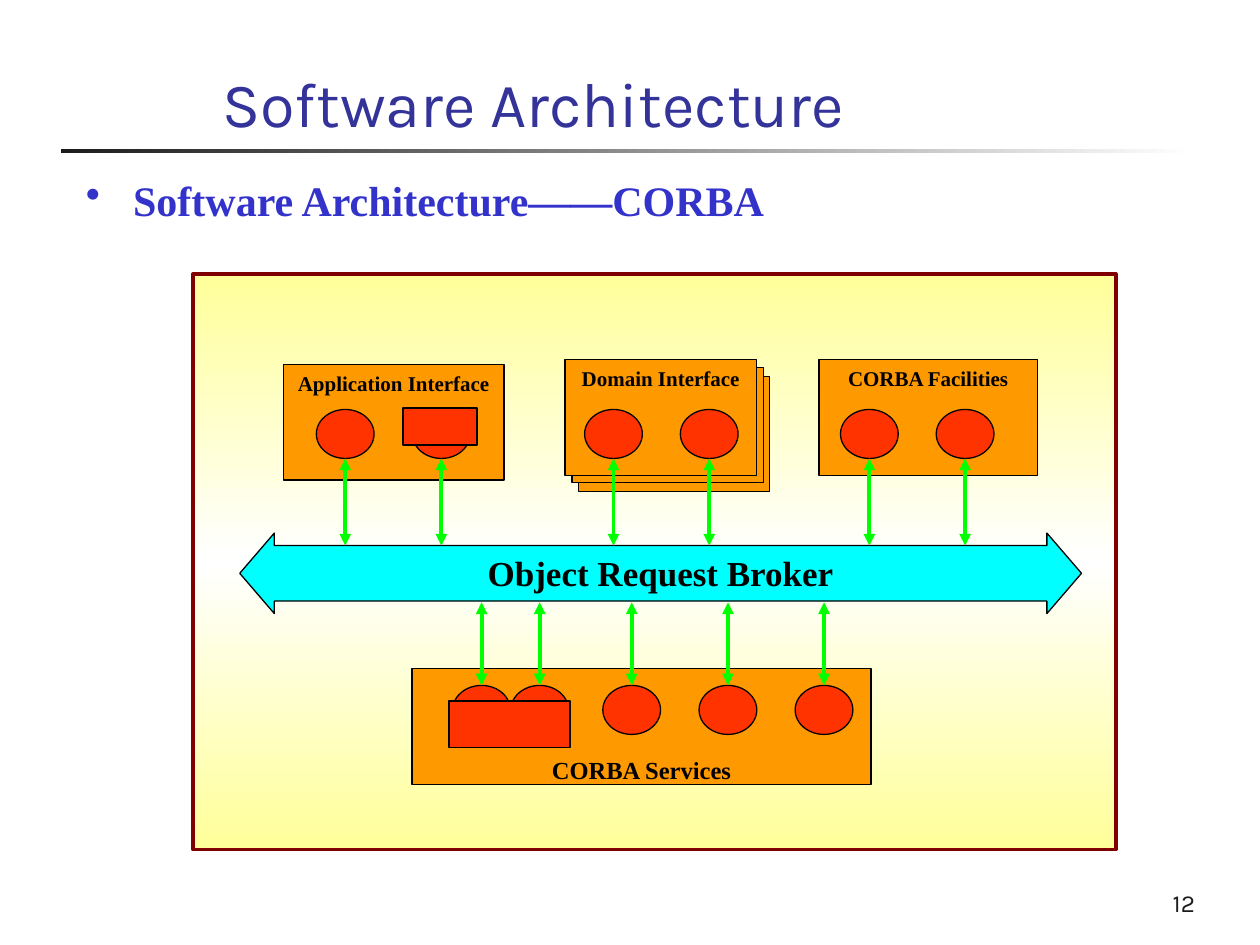
"""Build a slide showing the CORBA software architecture around an object request broker."""
from dataclasses import dataclass

import pptx
import pptx.dml.color
import pptx.enum.shapes
import pptx.enum.text
import pptx.oxml
import pptx.oxml.ns
import pptx.util
from lxml import etree

Pt = pptx.util.Pt
RGB = pptx.dml.color.RGBColor
SHAPE = pptx.enum.shapes.MSO_SHAPE
ALIGN = pptx.enum.text.PP_ALIGN
ANCHOR = pptx.enum.text.MSO_ANCHOR
qn = pptx.oxml.ns.qn

BLACK = RGB(0, 0, 0)
WHITE = RGB(255, 255, 255)
INK = RGB(0x1C, 0x1C, 0x1C)
TITLE_BLUE = RGB(0x33, 0x33, 0x99)
BODY_BLUE = RGB(0x33, 0x33, 0xCC)
YELLOW = RGB(0xFF, 0xFF, 0x99)
MAROON = RGB(0x80, 0, 0)
ORANGE = RGB(0xFF, 0x99, 0)
RED = RGB(0xFF, 0x33, 0)
CYAN = RGB(0, 0xFF, 0xFF)
GREEN = RGB(0, 0xFF, 0)
SERIF, SANS = "Times New Roman", "Karla"
PORT_W, PORT_H = 33, 28
UPPER_Y, BUS_TOP = 234, 311.8
BUS_BOTTOM, LOWER_Y = 344.2, 391.7


@dataclass
class Box:
    left: float
    top: float
    width: float
    height: float


@dataclass
class Component:
    label: str
    box: Box
    ports: tuple[float, ...]
    port_top: float
    size: float = 12
    inset_top: float = 3.6
    stack: tuple[tuple[float, float], ...] = ()


COMPONENTS = (
    Component("CORBA Facilities", Box(468, 205.6, 124.8, 66), (496.8, 551.5), UPPER_Y),
    Component("Domain Interface", Box(322.8, 205.6, 109.5, 66), (350.6, 405.3), UPPER_Y,
              stack=((7.6, 9.4), (4, 4.3))),
    Component("Application Interface", Box(162, 208.4, 126, 66), (197.3, 252.2), UPPER_Y),
    Component("CORBA Services", Box(235.4, 382.2, 262.4, 66),
              (275.2, 308.4, 361, 416, 470.9), LOWER_Y, 14, 49),
)
COVERS = (Box(230.2, 233.2, 42.5, 21.2), Box(256.5, 400.6, 69.3, 26.6))


def add_shape(s, kind, box: Box, fill: RGB | None, line: RGB | None = BLACK, width: float = 0.75):
    sp = s.shapes.add_shape(kind, Pt(box.left), Pt(box.top), Pt(box.width), Pt(box.height))
    sp.shadow.inherit = False
    if fill is not None:
        sp.fill.solid()
        sp.fill.fore_color.rgb = fill
    if line is None:
        sp.line.fill.background()
    else:
        sp.line.color.rgb = line
        sp.line.width = Pt(width)
    return sp


def set_gradient(sp, angle: float, stops: tuple[RGB, ...]) -> None:
    sp.fill.gradient()
    sp.fill.gradient_angle = angle
    gs_list = sp._element.spPr.find(qn("a:gradFill")).find(qn("a:gsLst"))
    for old in list(gs_list):
        gs_list.remove(old)
    for i, color in enumerate(stops):
        gs = etree.SubElement(gs_list, qn("a:gs"), pos=str(100000 * i // (len(stops) - 1)))
        etree.SubElement(gs, qn("a:srgbClr"), val=str(color))


def set_text(sp, text: str, size: float, font: str, color: RGB, bold: bool = False,
             align=ALIGN.LEFT, anchor=ANCHOR.TOP, inset_top: float = 3.6):
    tf = sp.text_frame
    tf.word_wrap = True
    tf.vertical_anchor = anchor
    tf.margin_top = Pt(inset_top)
    p = tf.paragraphs[0]
    p.text = text
    p.alignment = align
    p.font.size = Pt(size)
    p.font.name = font
    p.font.bold = bold
    p.font.color.rgb = color
    return p


def add_text(s, box: Box, text: str, size: float, font: str, color: RGB, **style):
    sp = s.shapes.add_textbox(Pt(box.left), Pt(box.top), Pt(box.width), Pt(box.height))
    return set_text(sp, text, size, font, color, **style)


def add_bullet(p, color: RGB, indent: float) -> None:
    p.space_before = Pt(6)
    ppr = p._p.get_or_add_pPr()
    ppr.set("marL", str(Pt(indent)))
    ppr.set("indent", str(-Pt(indent)))
    bu_color = etree.Element(qn("a:buClr"))
    etree.SubElement(bu_color, qn("a:srgbClr"), val=str(color))
    bu_char = etree.Element(qn("a:buChar"), char="•")
    defaults = ppr.find(qn("a:defRPr"))
    for element in (bu_color, bu_char):
        defaults.addprevious(element)


def add_arrow(s, x: float, top: float, bottom: float) -> None:
    line = s.shapes.add_connector(pptx.enum.shapes.MSO_CONNECTOR.STRAIGHT,
                                  Pt(x), Pt(top), Pt(x), Pt(bottom))
    line.line.color.rgb = GREEN
    line.line.width = Pt(2.25)
    ln = line.line._get_or_add_ln()
    for end in ("a:headEnd", "a:tailEnd"):
        etree.SubElement(ln, qn(end), type="triangle")
    etree.SubElement(line._element.spPr, qn("a:effectLst"))


def add_component(s, c: Component) -> None:
    for dx, dy in c.stack:
        back = Box(c.box.left + dx, c.box.top + dy, c.box.width, c.box.height)
        add_shape(s, SHAPE.RECTANGLE, back, ORANGE)
    sp = add_shape(s, SHAPE.RECTANGLE, c.box, ORANGE)
    set_text(sp, c.label, c.size, SERIF, BLACK, bold=True, align=ALIGN.CENTER,
             inset_top=c.inset_top)
    for x in c.ports:
        add_shape(s, SHAPE.OVAL, Box(x - PORT_W / 2, c.port_top, PORT_W, PORT_H), RED)


def main() -> None:
    prs = pptx.Presentation()
    prs.slide_width, prs.slide_height = Pt(720), Pt(540)
    s = prs.slides.add_slide(prs.slide_layouts[6])

    rule = add_shape(s, SHAPE.RECTANGLE, Box(34.6, 85, 648, 2.3), None, None)
    set_gradient(rule, 0, (INK, WHITE))
    add_text(s, Box(120, 12.2, 566, 71.3), "Software Architecture", 36, SANS, TITLE_BLUE,
             anchor=ANCHOR.BOTTOM)
    p = add_text(s, Box(42, 96, 648, 49), "Software Architecture——CORBA", 24, SERIF,
                 BODY_BLUE, bold=True)
    add_bullet(p, BODY_BLUE, 27)

    panel = add_shape(s, SHAPE.RECTANGLE, Box(110.5, 156.5, 527, 329), None, MAROON, 2.25)
    set_gradient(panel, 90, (YELLOW, WHITE, YELLOW))

    bus = add_shape(s, SHAPE.LEFT_RIGHT_ARROW, Box(137, 304.6, 481, 46), CYAN)
    bus.adjustments[0], bus.adjustments[1] = 0.69, 0.43
    set_text(bus, "Object Request Broker", 20, SERIF, BLACK, bold=True, align=ALIGN.CENTER)

    for c in COMPONENTS:
        add_component(s, c)
    for c in COMPONENTS:
        above = c.port_top == UPPER_Y
        span = (UPPER_Y + PORT_H, BUS_TOP) if above else (BUS_BOTTOM, LOWER_Y)
        for x in c.ports:
            add_arrow(s, x, *span)
    for box in COVERS:
        add_shape(s, SHAPE.RECTANGLE, box, RED, width=1)

    add_text(s, Box(540, 492, 150, 36), "12", 14, SANS, INK, align=ALIGN.RIGHT,
             anchor=ANCHOR.BOTTOM)
    prs.save("out.pptx")


main()
